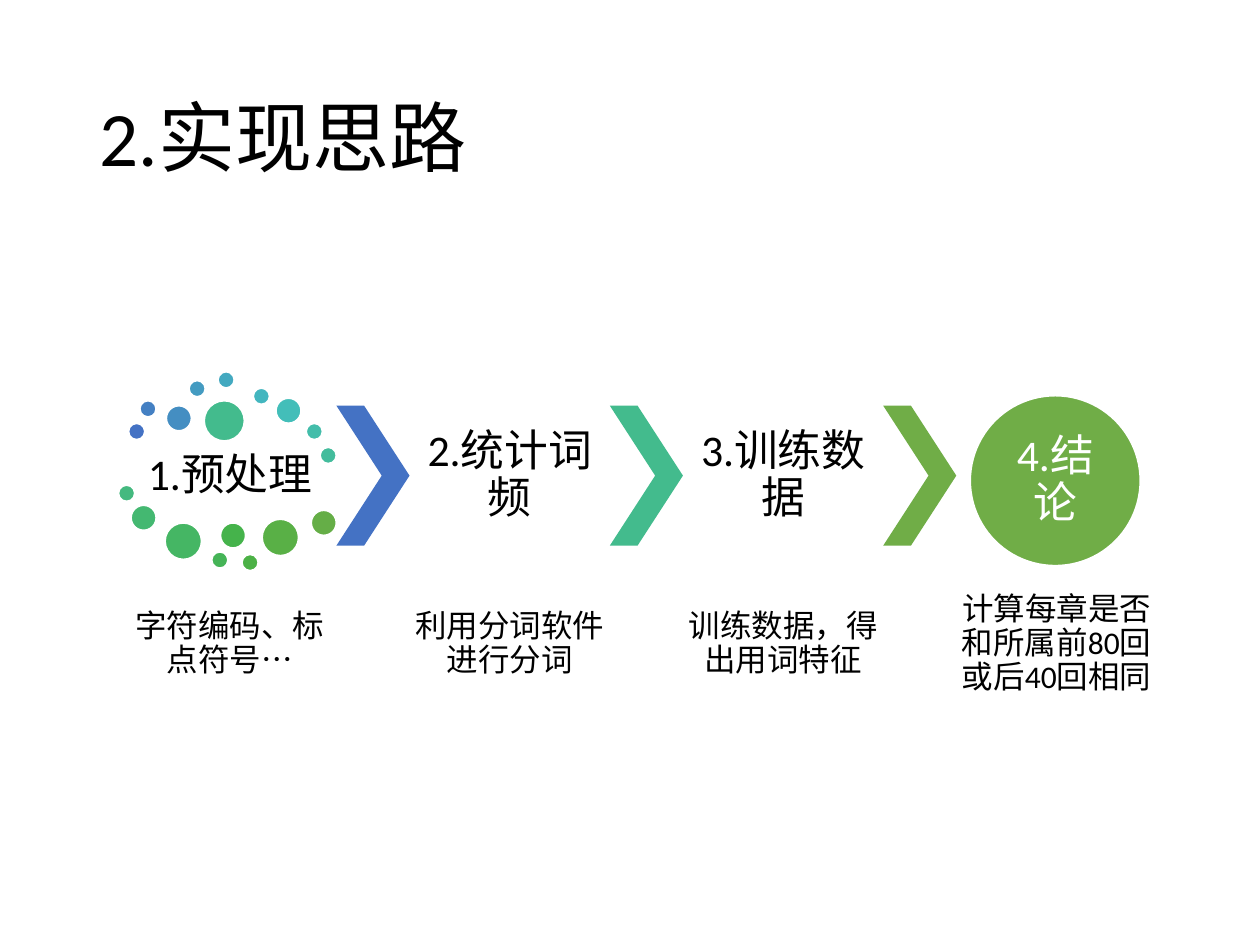
import pptx
import pptx.util
import pptx.dml.color
import pptx.enum.shapes
import pptx.enum.text

Inches, Pt = pptx.util.Inches, pptx.util.Pt
RGBColor = pptx.dml.color.RGBColor
MSO_SHAPE = pptx.enum.shapes.MSO_SHAPE
PP_ALIGN = pptx.enum.text.PP_ALIGN
MIDDLE = pptx.enum.text.MSO_ANCHOR.MIDDLE

BLACK = RGBColor(0x00, 0x00, 0x00)
WHITE = RGBColor(0xFF, 0xFF, 0xFF)
BLUE = RGBColor(0x44, 0x72, 0xC4)
TEAL = RGBColor(0x43, 0xBB, 0x8D)
GREEN = RGBColor(0x70, 0xAD, 0x47)


def set_text(sp, text, size, color=BLACK, inset=0.03, align=PP_ALIGN.CENTER):
    tf = sp.text_frame
    tf.word_wrap = True
    tf.vertical_anchor = MIDDLE
    tf.margin_left = tf.margin_right = tf.margin_top = tf.margin_bottom = Inches(inset)
    p = tf.paragraphs[0]
    p.text = text
    p.alignment = align
    p.line_spacing = 0.9
    p.font.name = "Calibri"
    p.font.size = Pt(size)
    p.font.color.rgb = color


def add_filled(kind, x, y, w, h, color, outlined=True):
    sp = s.shapes.add_shape(kind, Inches(x), Inches(y), Inches(w), Inches(h))
    sp.shadow.inherit = False
    sp.fill.solid()
    sp.fill.fore_color.rgb = color
    if outlined:
        sp.line.color.rgb = WHITE
        sp.line.width = Pt(1)
    else:
        sp.line.fill.background()
    return sp


prs = pptx.Presentation()
prs.slide_width, prs.slide_height = Inches(10), Inches(7.5)
s = prs.slides.add_slide(prs.slide_layouts[5])

# Title
title = s.shapes.title
title.left, title.top = Inches(0.69), Inches(0.4)
title.width, title.height = Inches(8.62), Inches(1.45)
set_text(title, "2.实现思路", 44, inset=0.1, align=PP_ALIGN.LEFT)

# Ring of dots around the first step: left, top, diameter, colour
dots = [
    (1.02, 3.36, 0.13, "4472C4"), (1.11, 3.18, 0.13, "4480C3"),
    (1.32, 3.22, 0.20, "448EC2"), (1.50, 3.02, 0.13, "449BC1"),
    (1.73, 2.95, 0.13, "43A9C0"), (2.01, 3.08, 0.13, "43B6BF"),
    (2.19, 3.16, 0.20, "43BEB9"), (2.43, 3.36, 0.13, "43BDAA"),
    (2.54, 3.55, 0.13, "43BC9C"), (1.62, 3.18, 0.32, "43BB8D"),
    (0.94, 3.85, 0.13, "44B97F"), (1.04, 4.01, 0.20, "44B871"),
    (1.31, 4.15, 0.29, "45B664"), (1.68, 4.38, 0.13, "45B457"),
    (1.75, 4.15, 0.20, "45B34B"), (1.92, 4.40, 0.13, "4CB146"),
    (2.08, 4.12, 0.29, "59B046"), (2.47, 4.05, 0.20, "65AE47"),
]
for x, y, d, color in dots:
    add_filled(MSO_SHAPE.OVAL, x, y, d, d, RGBColor.from_string(color))

# Chevrons between the steps
CHEVRON_X, CHEVRON_W, PITCH = 2.67, 0.58, 2.17
for i, color in enumerate([BLUE, TEAL, GREEN]):
    sp = add_filled(MSO_SHAPE.CHEVRON, CHEVRON_X + i * PITCH, 3.22,
                    CHEVRON_W, 1.11, color, outlined=False)
    sp.adjustments[0] = 0.62

# Final step in a circle
sp = add_filled(MSO_SHAPE.OVAL, 7.7, 3.14, 1.35, 1.35, GREEN)
set_text(sp, "4.结论", 25, WHITE, inset=0)

# Step headings and captions
step_x = [1.03] + [CHEVRON_X + CHEVRON_W + i * PITCH for i in range(3)]
headings = [("1.预处理", 3.52, 0.52), ("2.统计词频", 3.22, 1.11), ("3.训练数据", 3.22, 1.11)]
captions = ["字符编码、标点符号…", "利用分词软件进行分词",
            "训练数据，得出用词特征", "计算每章是否和所属前80回或后40回相同"]
labels = [(x, y, h, text, 25) for x, (text, y, h) in zip(step_x, headings)]
labels += [(x, 4.62, 0.98, text, 18) for x, text in zip(step_x, captions)]
for x, y, h, text, size in labels:
    sp = s.shapes.add_textbox(Inches(x), Inches(y), Inches(1.59), Inches(h))
    set_text(sp, text, size)

prs.save("out.pptx")
